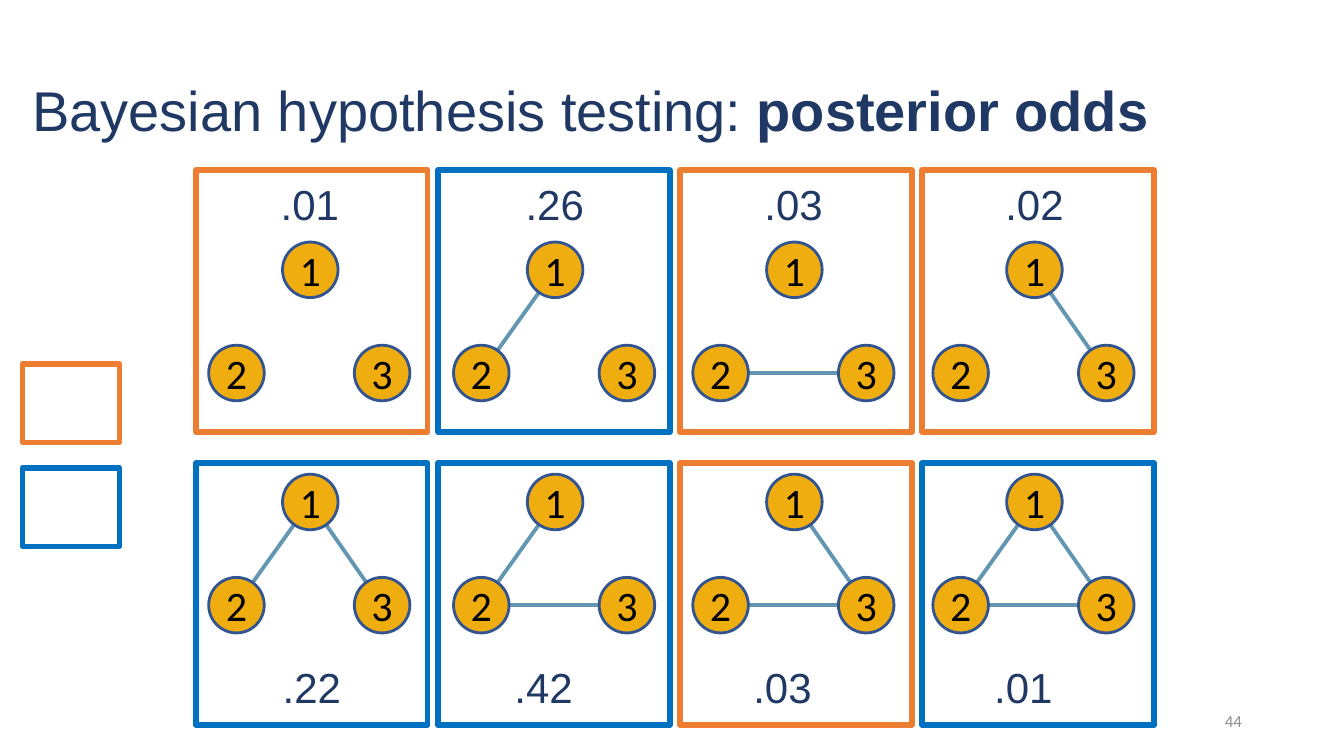
from lxml.etree import SubElement
from pptx import Presentation
from pptx.dml.color import RGBColor
from pptx.enum.shapes import MSO_CONNECTOR as CONN, MSO_SHAPE as SHAPE
from pptx.enum.text import MSO_ANCHOR as ANCHOR, MSO_AUTO_SIZE as AUTO, PP_ALIGN as ALIGN
from pptx.oxml.ns import qn
from pptx.util import Cm, Pt

NAVY = RGBColor(0x20, 0x38, 0x64)
BLUE = RGBColor(0x00, 0x70, 0xC0)
ORANGE = RGBColor(0xED, 0x7D, 0x31)
EDGE = RGBColor(0x63, 0x97, 0xB1)
NODE = RGBColor(0xF0, 0xAD, 0x0F)
NODE_LINE = RGBColor(0x32, 0x54, 0x91)
BLACK = RGBColor(0, 0, 0)
GREY = RGBColor(0x8C, 0x8C, 0x8C)

PANEL_W, PANEL_H, PITCH = 5.84, 6.6, 6.1
NODE_D = 1.4
NODE_AT = {1: (1.86, 0), 2: (0, 2.6), 3: (3.67, 2.6)}
GRAPH_DX = [0.32, 0.39, 0.32, 0.27]

ROWS = [
    dict(y=4.29, graph_dy=1.81, odds_dy=0.08, panels=[
        (".01", 1.87, []),
        (".26", 1.94, [(1, 2)]),
        (".03", 1.86, [(2, 3)]),
        (".02", 1.83, [(1, 3)])]),
    dict(y=11.67, graph_dy=0.28, odds_dy=4.87, panels=[
        (".22", 1.92, [(1, 2), (1, 3)]),
        (".42", 1.66, [(1, 2), (2, 3)]),
        (".03", 1.58, [(1, 3), (2, 3)]),
        (".01", 1.55, [(1, 2), (1, 3), (2, 3)])]),
]


def write(tf, text, size=30, font="Arial", color=NAVY, bold=False, align=ALIGN.CENTER):
    p = tf.paragraphs[0]
    p.alignment = align
    r = p.add_run()
    r.text = text
    r.font.size, r.font.name, r.font.bold = Pt(size), font, bold
    r.font.color.rgb = color
    return p


def add_title(s, x, y, w, h):
    sp = s.shapes.title
    sp.left, sp.top, sp.width, sp.height = Cm(x), Cm(y), Cm(w), Cm(h)
    tf = sp.text_frame
    tf.word_wrap, tf.auto_size = True, AUTO.NONE
    tf.vertical_anchor = ANCHOR.MIDDLE
    write(tf, "Bayesian hypothesis testing: ", size=40, align=ALIGN.LEFT)
    p = write(tf, "posterior odds", size=40, bold=True, align=ALIGN.LEFT)
    p.line_spacing = 0.9


def add_label(s, x, y, w, h, text, wrap=False, anchor=ANCHOR.TOP, **fmt):
    tf = s.shapes.add_textbox(Cm(x), Cm(y), Cm(w), Cm(h)).text_frame
    tf.word_wrap, tf.vertical_anchor = wrap, anchor
    write(tf, text, **fmt)


def add_frame(s, x, y, w, h, color):
    sp = s.shapes.add_shape(SHAPE.RECTANGLE, Cm(x), Cm(y), Cm(w), Cm(h))
    sp.shadow.inherit = False
    sp.fill.background()
    sp.line.color.rgb, sp.line.width = color, Pt(4)


def add_graph(s, x, y, edges):
    grp = s.shapes.add_group_shape()
    centre = {n: (Cm(x + dx + NODE_D / 2), Cm(y + dy + NODE_D / 2))
              for n, (dx, dy) in NODE_AT.items()}
    for a, b in edges:
        line = grp.shapes.add_connector(CONN.STRAIGHT, *centre[a], *centre[b])
        line.line.color.rgb, line.line.width = EDGE, Pt(2.75)
        SubElement(line._element.spPr, qn("a:effectLst"))
    for n, (dx, dy) in NODE_AT.items():
        sp = grp.shapes.add_shape(SHAPE.OVAL, Cm(x + dx), Cm(y + dy), Cm(NODE_D), Cm(NODE_D))
        sp.shadow.inherit = False
        sp.fill.solid()
        sp.fill.fore_color.rgb = NODE
        sp.line.color.rgb, sp.line.width = NODE_LINE, Pt(2)
        tf = sp.text_frame
        tf.margin_left = tf.margin_right = tf.margin_top = tf.margin_bottom = 0
        tf.vertical_anchor = ANCHOR.MIDDLE
        write(tf, str(n), font="Calibri", color=BLACK)


def add_panel(s, x, y, row, graph_dx, odds, odds_dx, edges):
    add_frame(s, x, y, PANEL_W, PANEL_H, BLUE if (1, 2) in edges else ORANGE)
    add_graph(s, x + graph_dx, y + row["graph_dy"], edges)
    add_label(s, x + odds_dx, y + row["odds_dy"], 2, 1.4, odds)


def add_legend(s, x, y):
    for i, color in enumerate([ORANGE, BLUE]):
        add_frame(s, x, y + i * 2.62, 2.44, 1.98, color)


def main():
    prs = Presentation()
    prs.slide_width, prs.slide_height = Cm(33.87), Cm(19.05)
    s = prs.slides.add_slide(prs.slide_layouts[5])
    add_title(s, 0.56, 1.02, 30.99, 3.68)
    add_legend(s, 0.57, 9.17)
    for row in ROWS:
        for i, panel in enumerate(row["panels"]):
            add_panel(s, 4.94 + i * PITCH, row["y"], row, GRAPH_DX[i], *panel)
    add_label(s, 23.93, 17.65, 7.62, 1.02, "44", wrap=True, anchor=ANCHOR.MIDDLE,
              size=12, font="Calibri", color=GREY, align=ALIGN.RIGHT)
    prs.save("out.pptx")


if __name__ == "__main__":
    main()
